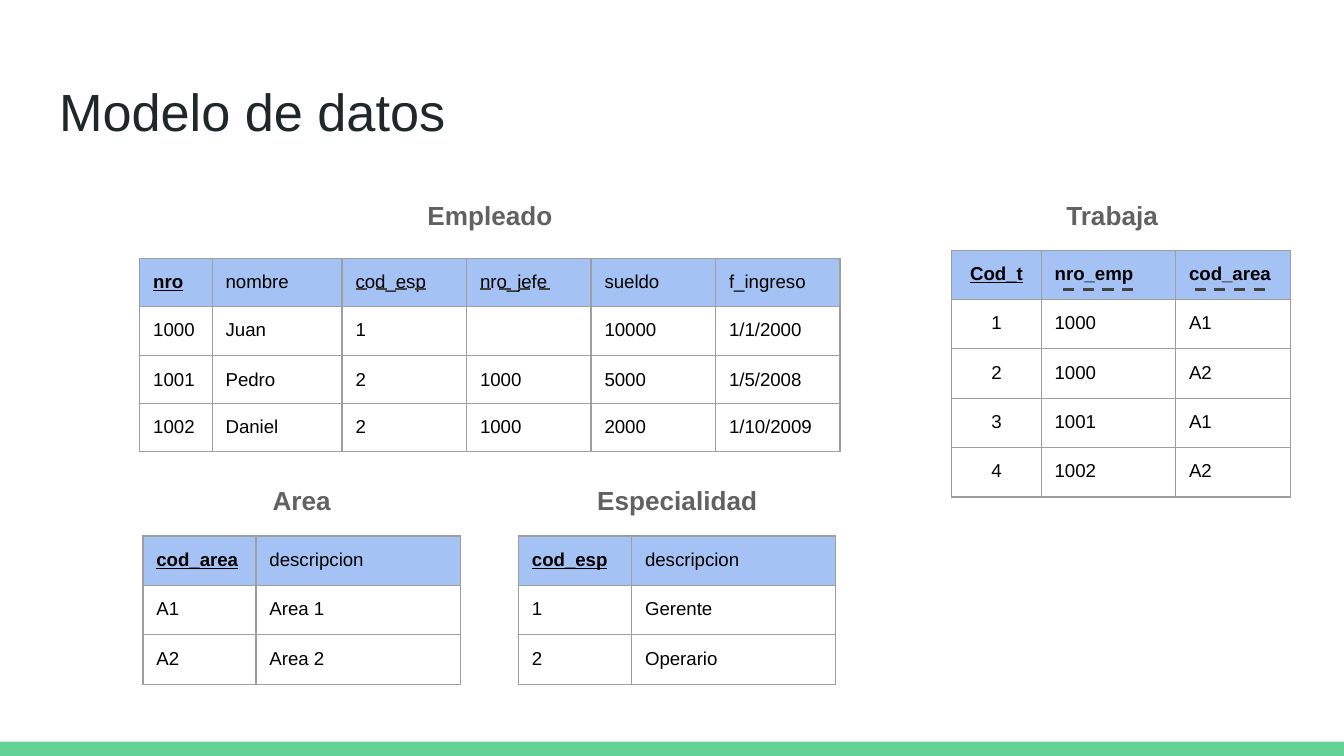
from lxml.etree import SubElement
from pptx import Presentation
from pptx.dml.color import RGBColor
from pptx.enum.dml import MSO_LINE
from pptx.enum.shapes import MSO_CONNECTOR, MSO_SHAPE
from pptx.enum.text import MSO_ANCHOR, MSO_AUTO_SIZE, PP_ALIGN
from pptx.oxml.ns import qn
from pptx.util import Pt

COLORS = {
    "title": "202729",
    "caption": "616161",
    "cell": "000000",
    "header": "A4C2F4",
    "border": "9E9E9E",
    "dash": "434343",
    "bar": "63D297",
}
FONT = "Arial"
SLIDE_WIDTH, SLIDE_HEIGHT = 720, 405
INSET = 7.2
ROW_HEIGHT = 24
CAPTION_WIDTH, CAPTION_HEIGHT = 142, 30.2


def color(name):
    return RGBColor.from_string(COLORS[name])


def add_run(paragraph, text, size, color_name, bold=False, underline=False):
    run = paragraph.add_run()
    run.text = text
    run.font.name = FONT
    run.font.size = Pt(size)
    run.font.bold = bold
    run.font.underline = underline
    run.font.color.rgb = color(color_name)


def set_insets(holder):
    holder.margin_left = holder.margin_right = Pt(INSET)
    holder.margin_top = holder.margin_bottom = Pt(INSET)


def add_title(slide, text, left, top, width, height):
    title = slide.shapes.title
    title.left, title.top = Pt(left), Pt(top)
    title.width, title.height = Pt(width), Pt(height)
    frame = title.text_frame
    set_insets(frame)
    frame.auto_size = MSO_AUTO_SIZE.NONE
    frame.vertical_anchor = MSO_ANCHOR.TOP
    frame.paragraphs[0].alignment = PP_ALIGN.LEFT
    add_run(frame.paragraphs[0], text, 28, "title")


def add_bottom_bar(slide, left, top, width, height):
    bar = slide.shapes.add_shape(
        MSO_SHAPE.RECTANGLE, Pt(left), Pt(top), Pt(width), Pt(height))
    bar.shadow.inherit = False
    bar.fill.solid()
    bar.fill.fore_color.rgb = color("bar")
    bar.line.fill.background()


def add_caption(slide, text, center, top):
    box = slide.shapes.add_textbox(
        Pt(center - CAPTION_WIDTH / 2), Pt(top), Pt(CAPTION_WIDTH), Pt(CAPTION_HEIGHT))
    frame = box.text_frame
    frame.word_wrap = True
    set_insets(frame)
    paragraph = frame.paragraphs[0]
    paragraph.alignment = PP_ALIGN.CENTER
    paragraph.line_spacing = 1.15
    paragraph.space_after = Pt(16)
    add_run(paragraph, text, 14, "caption", bold=True)


def set_borders(cell):
    properties = cell._tc.get_or_add_tcPr()
    for side in ("lnL", "lnR", "lnT", "lnB"):
        border = SubElement(properties, qn(f"a:{side}"), w=str(Pt(0.75)))
        fill = SubElement(border, qn("a:solidFill"))
        SubElement(fill, qn("a:srgbClr"), val=COLORS["border"])


def fill_cell(cell, text, header, bold, underline, centered):
    set_insets(cell)
    set_borders(cell)
    if header:
        cell.fill.solid()
        cell.fill.fore_color.rgb = color("header")
    else:
        cell.fill.background()
    paragraph = cell.text_frame.paragraphs[0]
    paragraph.alignment = PP_ALIGN.CENTER if centered else PP_ALIGN.LEFT
    if text:
        add_run(paragraph, text, 10, "cell", bold, underline)
    else:  # an empty cell keeps the row height only with its own text size
        SubElement(paragraph._p, qn("a:endParaRPr"), sz="1000")


def add_dashed_underline(slide, left, top, length):
    line = slide.shapes.add_connector(
        MSO_CONNECTOR.STRAIGHT, Pt(left), Pt(top), Pt(left + length), Pt(top))
    line.line.color.rgb = color("dash")
    line.line.width = Pt(1.5)
    line.line.dash_style = MSO_LINE.DASH
    SubElement(line._element.spPr, qn("a:effectLst"))


def add_relation(slide, name, left, top, widths, rows, caption_top,
                 caption_shift=0, bold_headers=1, centered_columns=0,
                 foreign_keys=(), key_drop=0):
    """Captioned table; foreign_keys holds (column, inset, length) of each dashed underline."""
    width = sum(widths)
    table = slide.shapes.add_table(
        len(rows), len(widths), Pt(left), Pt(top), Pt(width),
        Pt(ROW_HEIGHT * len(rows))).table
    table.first_row = table.horz_banding = False
    for column, column_width in zip(table.columns, widths):
        column.width = Pt(column_width)
    for r, row in enumerate(rows):
        for c, text in enumerate(row):
            header = r == 0
            fill_cell(table.cell(r, c), text, header,
                      bold=header and c < bold_headers,
                      underline=header and c == 0,
                      centered=c < centered_columns)
    add_caption(slide, name, left + width / 2 + caption_shift, caption_top)
    for column, inset, length in foreign_keys:
        key_left = left + sum(widths[:column]) + inset
        add_dashed_underline(slide, key_left, top + key_drop, length)


def main():
    deck = Presentation()
    deck.slide_width, deck.slide_height = Pt(SLIDE_WIDTH), Pt(SLIDE_HEIGHT)
    slide = deck.slides.add_slide(deck.slide_layouts[5])

    add_bottom_bar(slide, 0, 397.4, SLIDE_WIDTH, SLIDE_HEIGHT - 397.4)
    add_title(slide, "Modelo de datos", 24.5, 35.3, 671, 45.4)

    upper_caption, lower_caption, lower_table = 97.2, 249.8, 287.2
    add_relation(
        slide, "Empleado", 74.9, 138.5, [38.8, 69.6] + [66.7] * 4,
        [("nro", "nombre", "cod_esp", "nro_jefe", "sueldo", "f_ingreso"),
         ("1000", "Juan", "1", "", "10000", "1/1/2000"),
         ("1001", "Pedro", "2", "1000", "5000", "1/5/2008"),
         ("1002", "Daniel", "2", "1000", "2000", "1/10/2009")],
        upper_caption, foreign_keys=[(2, 7.5, 39), (3, 7, 40.3)], key_drop=16.3)
    add_relation(
        slide, "Trabaja", 509.8, 134, [48, 72, 61.4],
        [("Cod_t", "nro_emp", "cod_area"),
         ("1", "1000", "A1"),
         ("2", "1000", "A2"),
         ("3", "1001", "A1"),
         ("4", "1002", "A2")],
        upper_caption, caption_shift=-4.7, bold_headers=3, centered_columns=1,
        foreign_keys=[(1, 11.7, 40.3), (2, 10.2, 40.3)], key_drop=21.2)

    lookup_widths = [60.6, 109.4]
    add_relation(
        slide, "Area", 76.6, lower_table, lookup_widths,
        [("cod_area", "descripcion"), ("A1", "Area 1"), ("A2", "Area 2")],
        lower_caption)
    add_relation(
        slide, "Especialidad", 277.8, lower_table, lookup_widths,
        [("cod_esp", "descripcion"), ("1", "Gerente"), ("2", "Operario")],
        lower_caption)
    deck.save("out.pptx")


if __name__ == "__main__":
    main()
